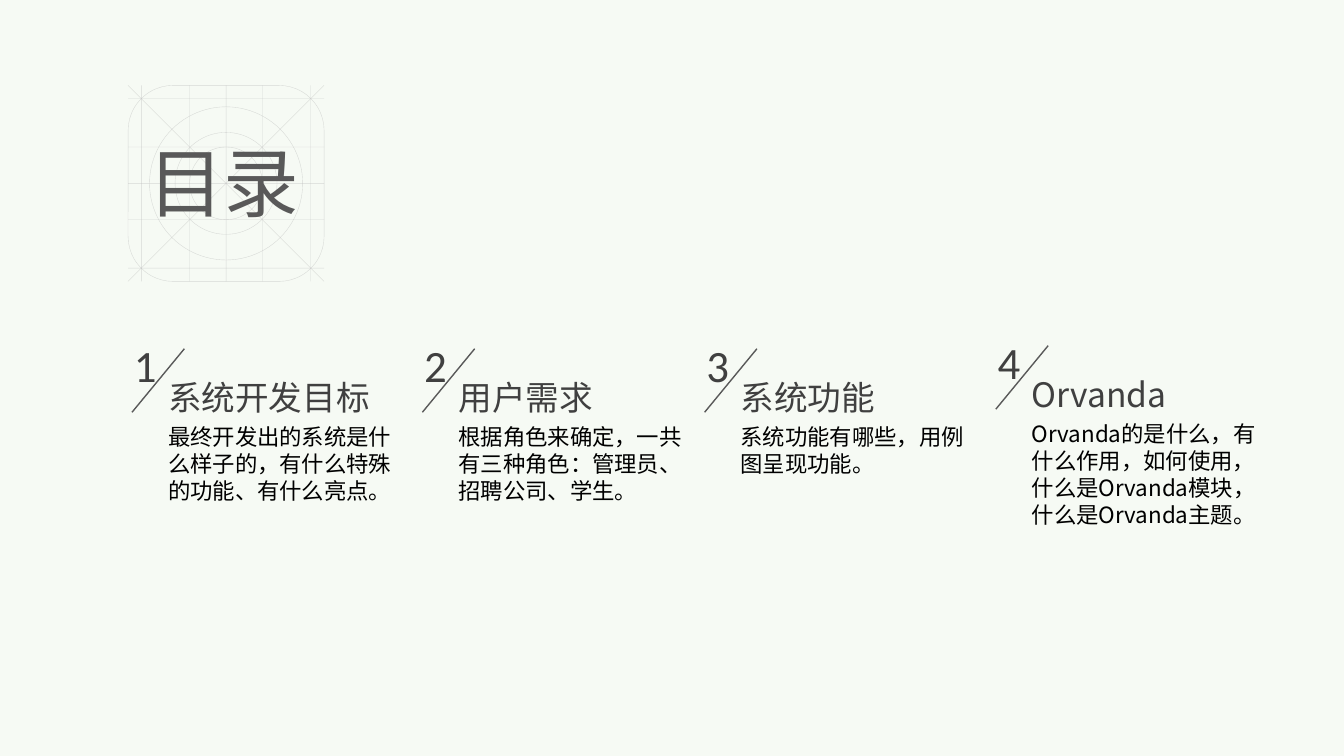
from lxml.etree import SubElement
from pptx import Presentation
from pptx.dml.color import RGBColor
from pptx.enum.shapes import MSO_CONNECTOR as Connector, MSO_SHAPE as Shape
from pptx.enum.text import MSO_ANCHOR as Anchor, MSO_AUTO_SIZE as AutoSize, PP_ALIGN as Align
from pptx.oxml.ns import qn
from pptx.util import Pt

HEADING = "目录"
# number, topic, description, left and top of the topic
CHAPTERS = [
    ("1", "系统开发目标", "最终开发出的系统是什么样子的，有什么特殊的功能、有什么亮点。", 113, 265.7),
    ("2", "用户需求", "根据角色来确定，一共有三种角色：管理员、招聘公司、学生。", 320.4, 265.7),
    ("3", "系统功能", "系统功能有哪些，用例图呈现功能。", 522, 265.7),
    ("4", "Orvanda", "Orvanda的是什么，有什么作用，如何使用，什么是Orvanda模块，什么是Orvanda主题。", 730, 263.5),
]
COLORS = {
    "background": "F6FAF4",
    "heading": "595959",
    "slash": "595959",
    "topic": "404040",
    "description": "000000",
    "grid": "BFBFBF",
}
CJK, LATIN = "Noto Sans CJK SC", "Calibri"

EMBLEM_X, EMBLEM_Y, EMBLEM_HALF = 161.5, 131, 70
GRID_OFFSETS = (-60.5, -26, 0, 26, 60.5)
RADII = (54.7, 36.4, 26)


def color(key):
    return RGBColor.from_string(COLORS[key])


def write(box, text, *, size, ink, font=CJK):
    frame = box.text_frame
    frame.word_wrap = True
    frame.auto_size = AutoSize.NONE
    frame.vertical_anchor = Anchor.TOP
    paragraph = frame.paragraphs[0]
    paragraph.alignment = Align.LEFT
    run = paragraph.add_run()
    run.text = text
    run.font.size = Pt(size)
    run.font.name = font
    run.font.color.rgb = color(ink)
    SubElement(run.font._element, qn("a:ea")).set("typeface", font)


def add_text(slide, text, left, top, width, height, **style):
    box = slide.shapes.add_textbox(Pt(left), Pt(top), Pt(width), Pt(height))
    write(box, text, **style)


def style_line(line, ink, width, opacity=100):
    line.width = Pt(width)
    line.color.rgb = color(ink)
    if opacity < 100:
        tint = line._ln.find(".//" + qn("a:srgbClr"))
        SubElement(tint, qn("a:alpha")).set("val", str(opacity * 1000))


def add_line(shapes, x1, y1, x2, y2, *style):
    line = shapes.add_connector(Connector.STRAIGHT, Pt(x1), Pt(y1), Pt(x2), Pt(y2))
    style_line(line.line, *style)
    SubElement(line._element.spPr, qn("a:effectLst"))


def add_outline(shapes, kind, half, *style):
    """Add an unfilled shape centred on the emblem."""
    outline = shapes.add_shape(kind, Pt(EMBLEM_X - half), Pt(EMBLEM_Y - half),
                               Pt(2 * half), Pt(2 * half))
    outline.fill.background()
    outline.shadow.inherit = False
    style_line(outline.line, *style)
    return outline


def add_emblem(slide):
    shapes = slide.shapes.add_group_shape().shapes
    style = ("grid", 0.25, 57)
    left, right = EMBLEM_X - EMBLEM_HALF, EMBLEM_X + EMBLEM_HALF
    top, bottom = EMBLEM_Y - EMBLEM_HALF, EMBLEM_Y + EMBLEM_HALF
    for radius in RADII:
        add_outline(shapes, Shape.OVAL, radius, *style)
    frame = add_outline(shapes, Shape.ROUNDED_RECTANGLE, EMBLEM_HALF, *style)
    frame.adjustments[0] = 0.23
    for offset in GRID_OFFSETS:
        add_line(shapes, left, EMBLEM_Y + offset, right, EMBLEM_Y + offset, *style)
        add_line(shapes, EMBLEM_X + offset, top, EMBLEM_X + offset, bottom, *style)
    add_line(shapes, left, top, right, bottom, *style)
    add_line(shapes, left, bottom, right, top, *style)


def add_heading(slide):
    heading = slide.shapes.title
    heading.left, heading.top = Pt(98.6), Pt(93.6)
    heading.width, heading.height = Pt(128.2), Pt(72)
    write(heading, HEADING, size=54, ink="heading")
    slide.shapes.element.append(heading.element)  # in front of the emblem


def add_chapter(slide, number, topic, description, left, top):
    add_text(slide, number, left - 24.5, top - 28, 32.4, 46, size=32, ink="topic", font=LATIN)
    add_line(slide.shapes, left + 18.7, top - 16.6, left - 18.7, top + 28.8, "slash", 1)
    add_text(slide, topic, left, top, 162.7, 38, size=24, ink="topic")
    add_text(slide, description, left, top + 33.1, 182.2, 66, size=16, ink="description")


def main():
    deck = Presentation()
    deck.slide_width, deck.slide_height = Pt(960), Pt(540)
    slide = deck.slides.add_slide(deck.slide_layouts.get_by_name("Title Only"))
    slide.background.fill.solid()
    slide.background.fill.fore_color.rgb = color("background")
    add_emblem(slide)
    add_heading(slide)
    for chapter in CHAPTERS:
        add_chapter(slide, *chapter)
    deck.save("out.pptx")


if __name__ == "__main__":
    main()
